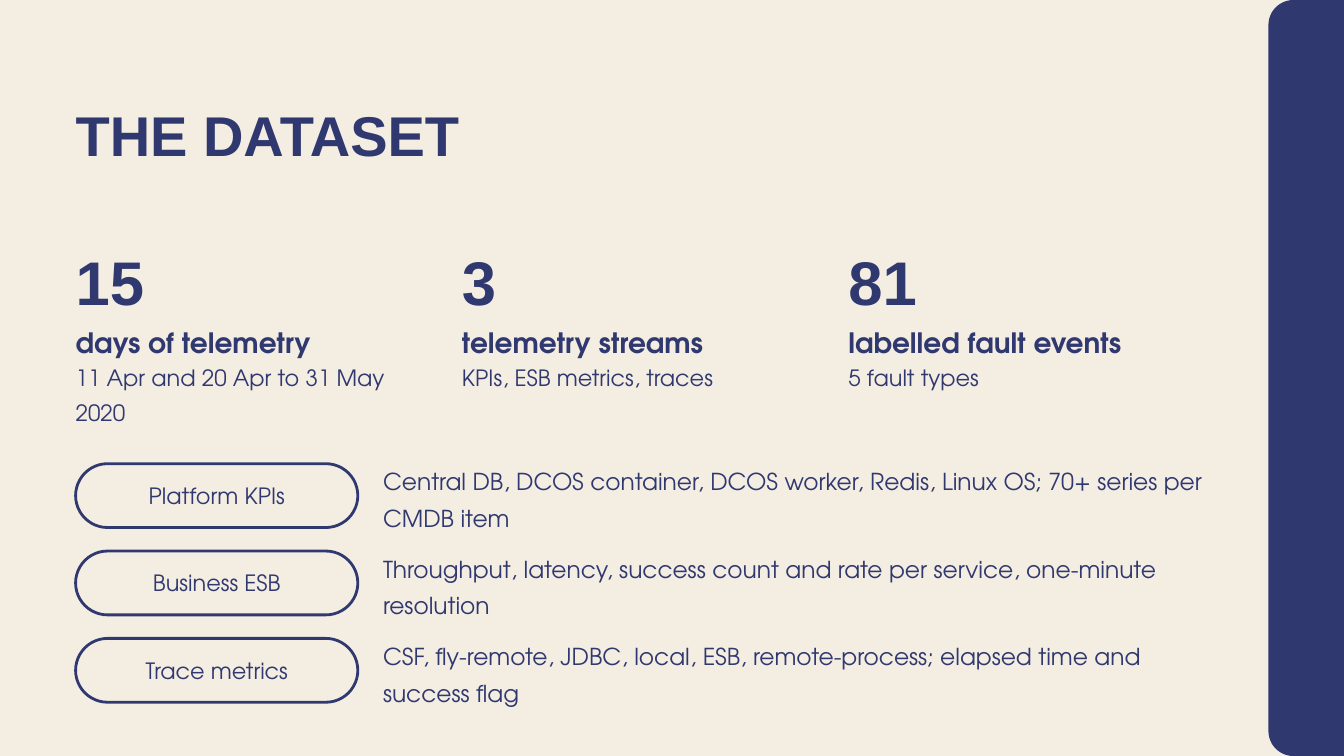
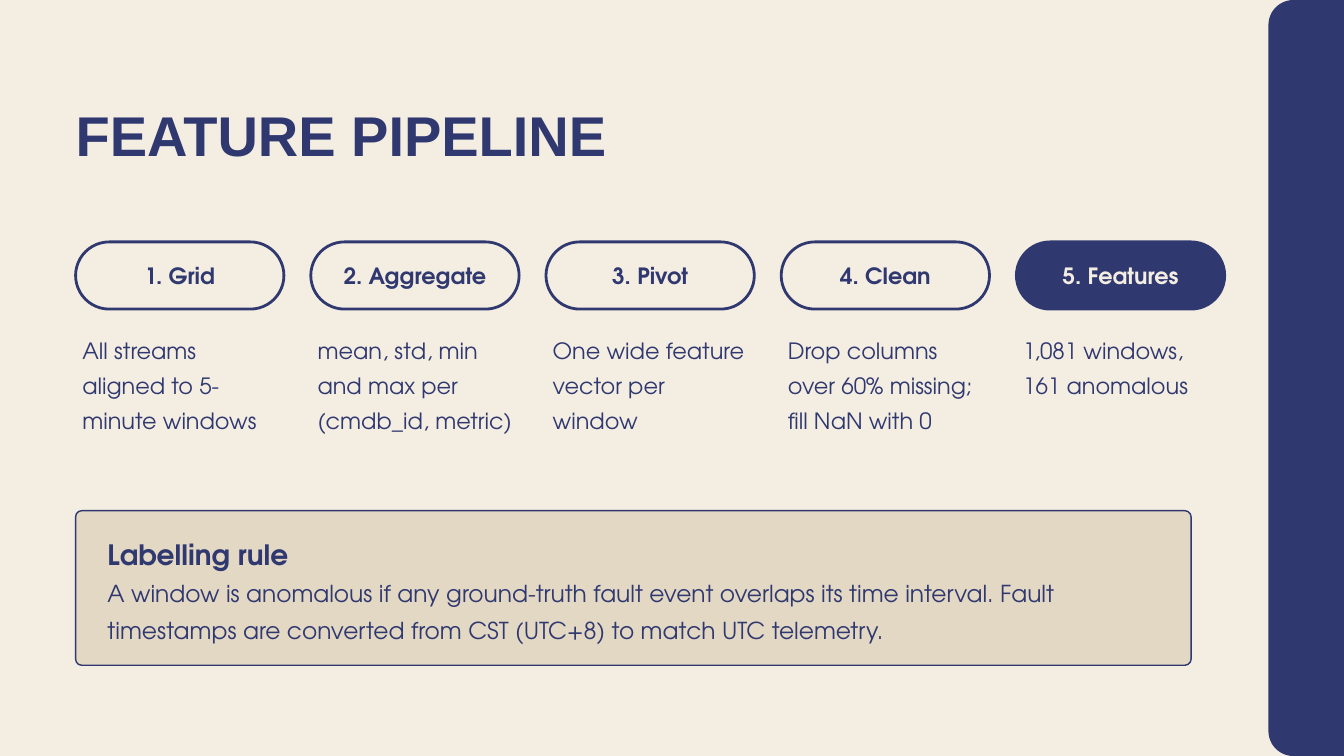
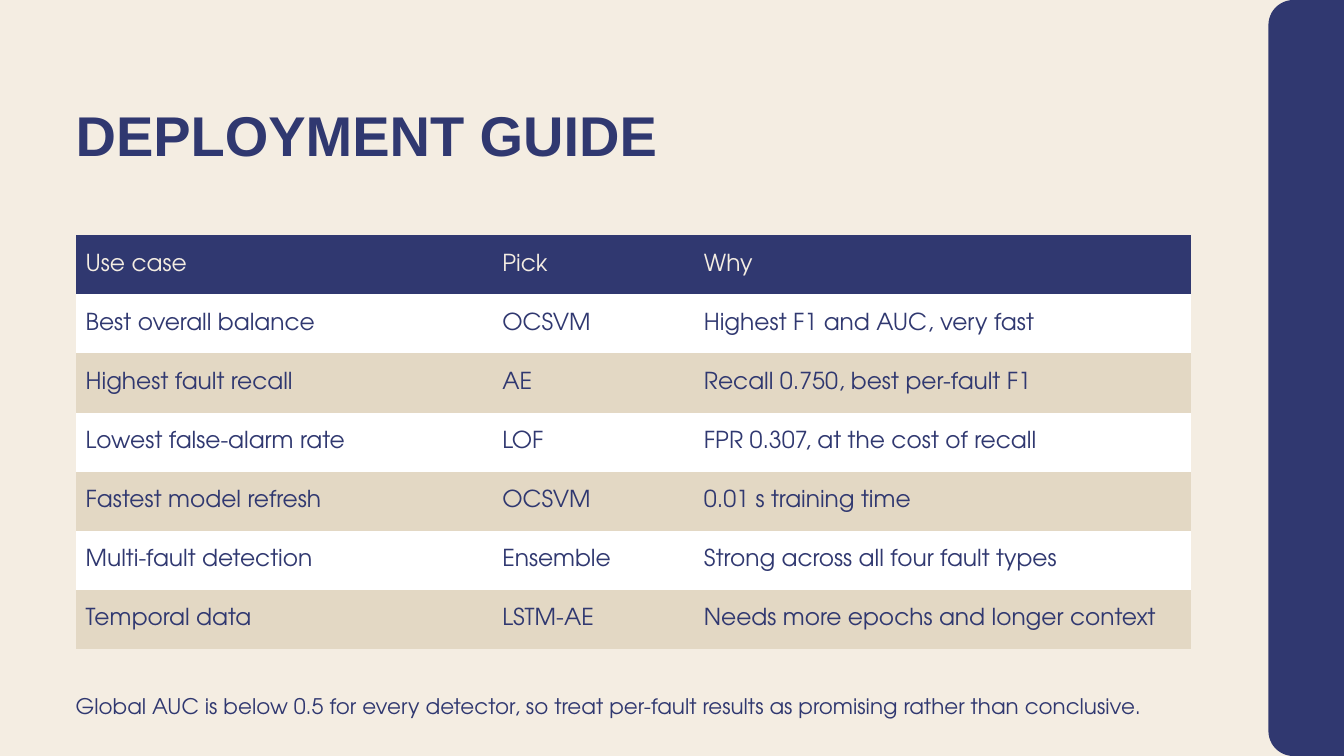
from pptx import Presentation
from pptx import util as u
from pptx.dml.color import RGBColor
from pptx.enum import shapes, text
from pptx.oxml import ns

COLORS = {"navy": "303870", "cream": "F4EDE2", "sand": "E3D8C4", "white": "FFFFFF"}
HEAD, BODY = "Arial", "TeX Gyre Adventor"
WIDTH, HEIGHT = u.Inches(20), u.Inches(11.25)
GRID_COLS = 200
CELL = WIDTH / GRID_COLS
ROWS = HEIGHT / CELL
MARGIN = 11.25
CONTENT = 166
NO_STYLE = "{2D5ABB26-0587-4C30-8999-92F81FD0307C}"

STYLES = {
    "title": {"name": HEAD, "size": u.Pt(60), "bold": True},
    "figure": {"name": HEAD, "size": u.Pt(66), "bold": True},
    "heading": {"name": BODY, "size": u.Pt(30), "bold": True},
    "body": {"name": BODY, "size": u.Pt(25)},
    "small": {"name": BODY, "size": u.Pt(24)},
    "step": {"name": BODY, "size": u.Pt(24), "bold": True},
    "note": {"name": BODY, "size": u.Pt(23)},
}


def rgb(name):
    return RGBColor.from_string(COLORS[name])


def cells(*lengths):
    return [u.Emu(round(n * CELL)) for n in lengths]


def set_all(obj, values):
    for key, value in values.items():
        setattr(obj, key, value)


def margins(x, y=0):
    return {"margin_left": x, "margin_right": x, "margin_top": y, "margin_bottom": y}


def write(tf, words, style, color="navy", spacing=None, align=text.PP_ALIGN.LEFT):
    p = tf.paragraphs[0]
    set_all(p, {"alignment": align, "line_spacing": spacing})
    r = p.add_run()
    r.text = words
    set_all(r.font, STYLES[style])
    r.font.color.rgb = rgb(color)


def fit_frame(tf, anchor=text.MSO_ANCHOR.TOP):
    set_all(tf, {"word_wrap": True, "vertical_anchor": anchor,
                 "auto_size": text.MSO_AUTO_SIZE.SHAPE_TO_FIT_TEXT, **margins(0)})


def add_text(s, box, words, style, anchor=text.MSO_ANCHOR.TOP):
    tf = s.shapes.add_textbox(*cells(*box)).text_frame
    fit_frame(tf, anchor)
    write(tf, words, style, spacing=1.3)


def add_rounded(s, box, radius, fill=None, line=None):
    sp = s.shapes.add_shape(shapes.MSO_SHAPE.ROUNDED_RECTANGLE, *cells(*box))
    sp.adjustments[0] = radius
    sp.shadow.inherit = False
    if fill:
        sp.fill.solid()
        sp.fill.fore_color.rgb = rgb(fill)
    else:
        sp.fill.background()
    if line:
        sp.line.color.rgb = rgb("navy")
        sp.line.width = u.Pt(line)
    else:
        sp.line.fill.background()
    return sp


def add_pill(s, box, words, style, filled=False):
    sp = add_rounded(s, box, 0.5, "navy" if filled else None, 3)
    set_all(sp.text_frame, {"word_wrap": True, "vertical_anchor": text.MSO_ANCHOR.MIDDLE,
                            **margins(u.Inches(0.25))})
    write(sp.text_frame, words, style, "cream" if filled else "navy",
          align=text.PP_ALIGN.CENTER)


def add_table(s, box, widths, rows):
    gf = s.shapes.add_table(len(rows), len(widths), *cells(*box))
    gf.element.find(".//" + ns.qn("a:tableStyleId")).text = NO_STYLE
    for column, width in zip(gf.table.columns, cells(*widths)):
        column.width = width
    for i, row in enumerate(rows):
        fill = "navy" if i == 0 else "white" if i % 2 else "sand"
        for j, words in enumerate(row):
            cell = gf.table.cell(i, j)
            cell.fill.solid()
            cell.fill.fore_color.rgb = rgb(fill)
            set_all(cell, {"vertical_anchor": text.MSO_ANCHOR.MIDDLE,
                           **margins(u.Inches(0.15), u.Inches(0.05))})
            write(cell.text_frame, words, "body", "navy" if i else "cream")


def new_slide(prs, title):
    s = prs.slides.add_slide(prs.slide_layouts[5])
    add_rounded(s, (188.75, 0, 33.75, ROWS), 0.11, "navy")
    sp = s.shapes.title
    set_all(sp, dict(zip(("left", "top", "width", "height"), cells(MARGIN, 14.5, 160, 13))))
    fit_frame(sp.text_frame)
    write(sp.text_frame, title, "title", spacing=1.05)
    return s


def dataset_slide(prs):
    s = new_slide(prs, "THE DATASET")
    facts = [
        ("15", "days of telemetry", "11 Apr and 20 Apr to 31 May 2020"),
        ("3", "telemetry streams", "KPIs, ESB metrics, traces"),
        ("81", "labelled fault events", "5 fault types"),
    ]
    lines = [("figure", 33, 12), ("heading", 47, 5), ("small", 53, 9)]
    for i, fact in enumerate(facts):
        for words, (style, y, h) in zip(fact, lines):
            add_text(s, (MARGIN + 57.5 * i, y, 54, h), words, style)
    streams = [
        ("Platform KPIs", "Central DB, DCOS container, DCOS worker, Redis, Linux OS; "
                          "70+ series per CMDB item"),
        ("Business ESB", "Throughput, latency, success count and rate per service, "
                         "one-minute resolution"),
        ("Trace metrics", "CSF, fly-remote, JDBC, local, ESB, remote-process; "
                          "elapsed time and success flag"),
    ]
    for i, (name, detail) in enumerate(streams):
        y = 69 + 13 * i
        add_pill(s, (MARGIN, y, 42, 9.5), name, "small")
        add_text(s, (57, y, 124, 9.5), detail, "body", text.MSO_ANCHOR.MIDDLE)


def pipeline_slide(prs):
    s = new_slide(prs, "FEATURE PIPELINE")
    steps = [
        ("Grid", "All streams aligned to 5-minute windows"),
        ("Aggregate", "mean, std, min and max per (cmdb_id, metric)"),
        ("Pivot", "One wide feature vector per window"),
        ("Clean", "Drop columns over 60% missing; fill NaN with 0"),
        ("Features", "1,081 windows, 161 anomalous"),
    ]
    for i, (name, detail) in enumerate(steps):
        x = MARGIN + 35 * i
        add_pill(s, (x, 36, 31, 10), f"{i + 1}. {name}", "step", i == len(steps) - 1)
        add_text(s, (x + 1, 49, 29, 22), detail, "small")
    add_rounded(s, (MARGIN, 76, CONTENT, 23), 0.04, "sand", 1.5)
    add_text(s, (16, 78.5, 157, 5), "Labelling rule", "heading")
    add_text(s, (16, 85, 157, 13),
             "A window is anomalous if any ground-truth fault event overlaps its time "
             "interval. Fault timestamps are converted from CST (UTC+8) to match UTC "
             "telemetry.", "body")


def deployment_slide(prs):
    s = new_slide(prs, "DEPLOYMENT GUIDE")
    rows = [
        ("Use case", "Pick", "Why"),
        ("Best overall balance", "OCSVM", "Highest F1 and AUC, very fast"),
        ("Highest fault recall", "AE", "Recall 0.750, best per-fault F1"),
        ("Lowest false-alarm rate", "LOF", "FPR 0.307, at the cost of recall"),
        ("Fastest model refresh", "OCSVM", "0.01 s training time"),
        ("Multi-fault detection", "Ensemble", "Strong across all four fault types"),
        ("Temporal data", "LSTM-AE", "Needs more epochs and longer context"),
    ]
    add_table(s, (MARGIN, 35, CONTENT, 8.8 * len(rows)), (62, 30, 74), rows)
    add_text(s, (MARGIN, 102, CONTENT, 5),
             "Global AUC is below 0.5 for every detector, so treat per-fault results as "
             "promising rather than conclusive.", "note")


def main():
    prs = Presentation()
    set_all(prs, {"slide_width": WIDTH, "slide_height": HEIGHT})
    fill = prs.slide_master.background.fill
    fill.solid()
    fill.fore_color.rgb = rgb("cream")
    dataset_slide(prs)
    pipeline_slide(prs)
    deployment_slide(prs)
    prs.save("out.pptx")


if __name__ == "__main__":
    main()
